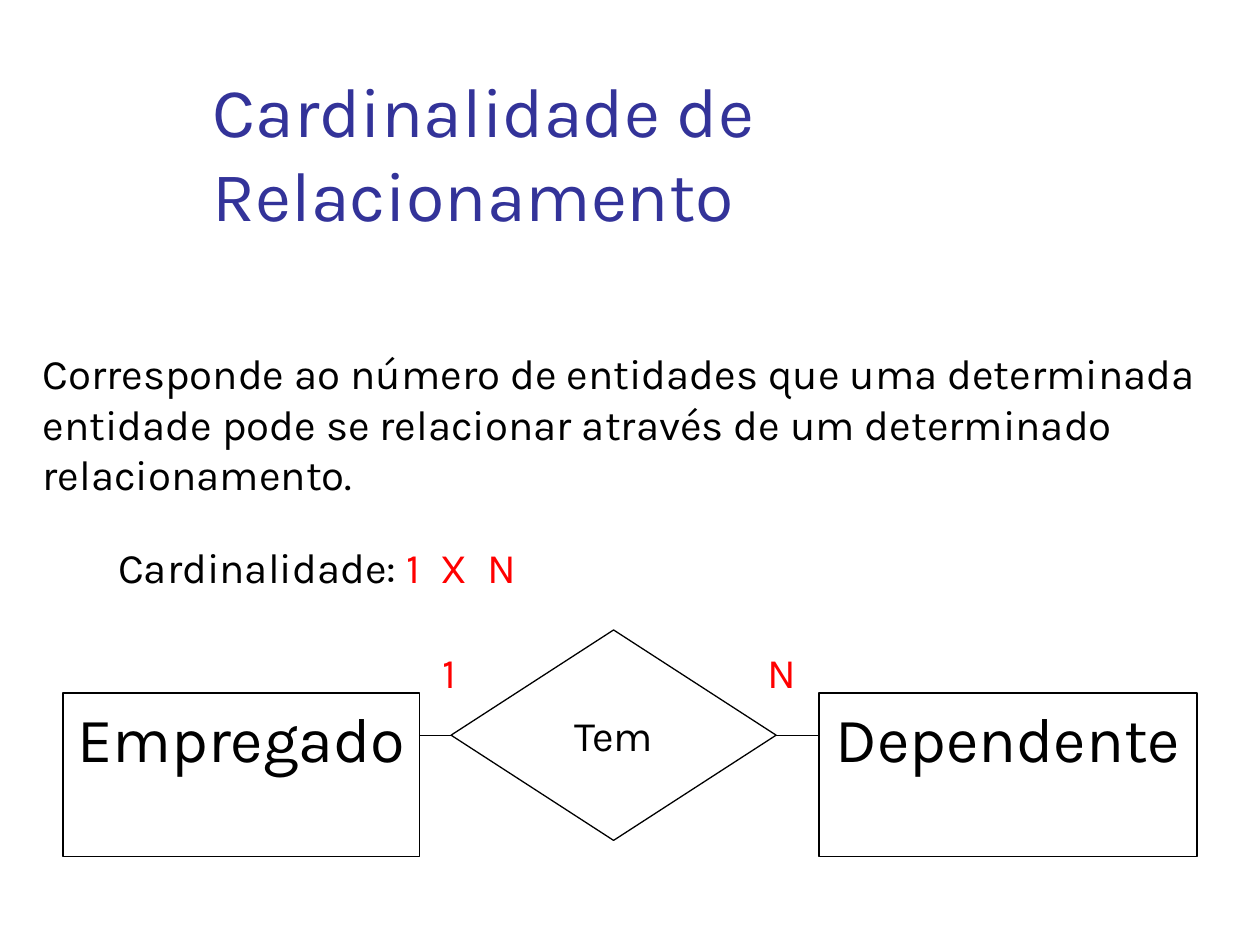
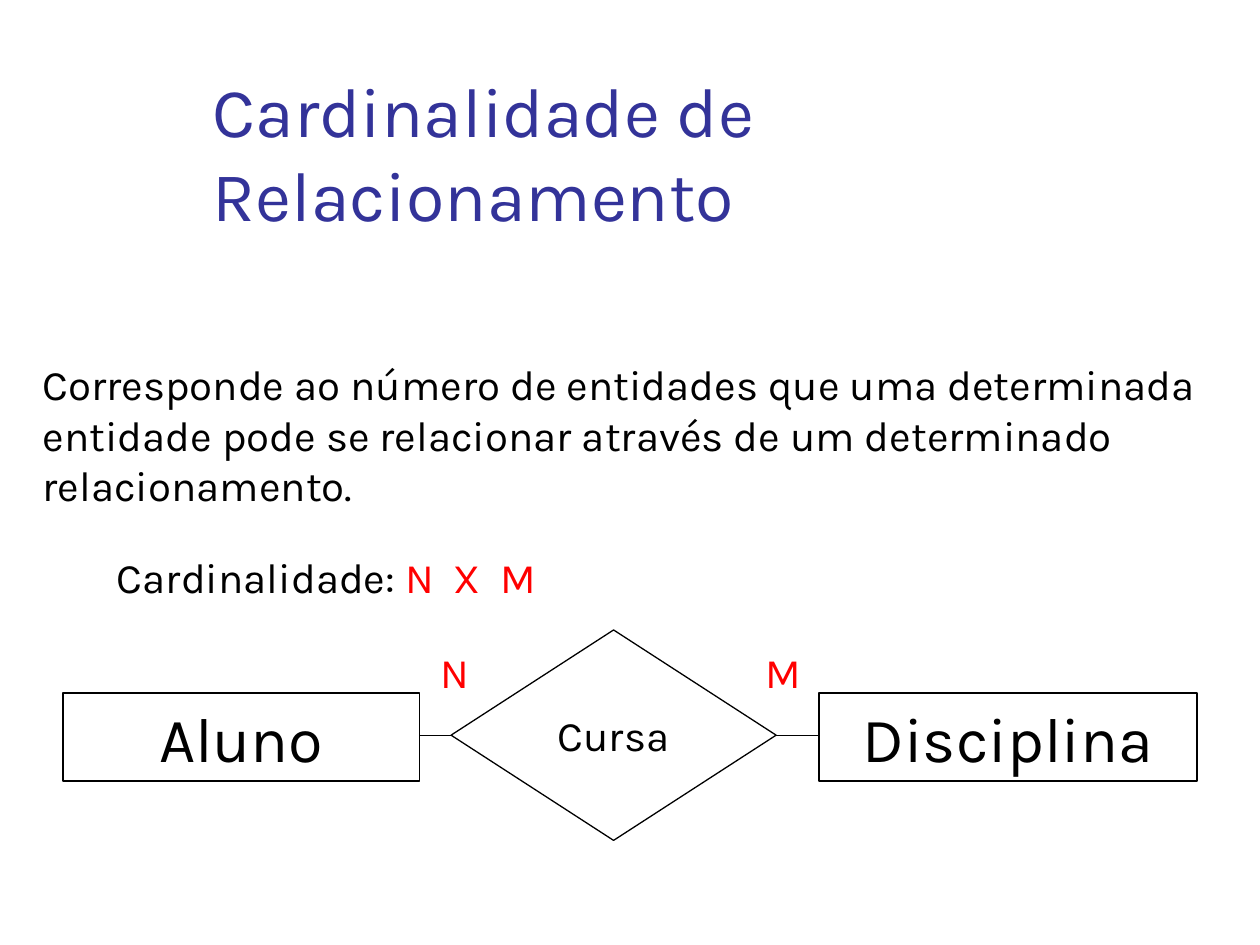
from dataclasses import dataclass

from lxml import etree
from pptx import Presentation
from pptx import util as u
from pptx.dml.color import RGBColor
from pptx.enum import shapes, text
from pptx.oxml import ns

# Content
TITLE = "Cardinalidade de Relacionamento"
DEFINITION = [
    "Corresponde ao número de entidades que uma determinada",
    "entidade pode se relacionar através de um determinado",
    "relacionamento.",
]
RATIO_LABEL = "Cardinalidade: "
# Each end: entity, cardinality, left and width of the cardinality label
EXAMPLES = [
    {
        "ratio": "1  X  N", "relationship": "Tem", "entity_height": 1.3,
        "left_end": ("Empregado", "1", 3.41, 0.39),
        "right_end": ("Dependente", "N", 5.99, 0.45),
        "definition_top": 2.71, "ratio_box": (0.84, 4.25, 3.54, 0.5),
    },
    {
        "ratio": "N  X  M", "relationship": "Cursa", "entity_height": 0.7,
        "left_end": ("Aluno", "N", 3.4, 0.45),
        "right_end": ("Disciplina", "M", 5.98, 0.5),
        "definition_top": 2.8, "ratio_box": (0.83, 4.33, 3.65, 0.5),
    },
]


# Theme
@dataclass(frozen=True)
class Theme:
    font: str = "Karla"
    title: RGBColor = RGBColor(0x33, 0x33, 0x99)
    ink: RGBColor = RGBColor(0, 0, 0)
    accent: RGBColor = RGBColor(0xFF, 0, 0)
    paper: RGBColor = RGBColor(0xFF, 0xFF, 0xFF)
    title_size: int = 40
    entity_size: int = 36
    body_size: int = 24
    line_width: float = 0.75


THEME = Theme()

# Layout, in inches
TITLE_BOX = (1.59, 0.67, 8.7, 1.25)
DEFINITION_LEFT, DEFINITION_WIDTH, DEFINITION_HEIGHT = 0.24, 9.75, 1.3
DIAMOND = (3.58, 5, 2.58, 1.67)
ENTITY_TOP = 5.5
LEFT_ENTITY, RIGHT_ENTITY = (0.5, 2.83), (6.5, 3)
LABEL_TOP, LABEL_HEIGHT = 5.08, 0.5


def inches(box):
    return [u.Inches(value) for value in box]


def write(frame, paragraphs, size, align=text.PP_ALIGN.LEFT,
          anchor=text.MSO_ANCHOR.TOP, wrap=False):
    """Fill a frame; each paragraph is a list of (text, colour) runs."""
    frame.word_wrap = wrap
    frame.auto_size = text.MSO_AUTO_SIZE.NONE
    frame.vertical_anchor = anchor
    for index, runs in enumerate(paragraphs):
        paragraph = frame.add_paragraph() if index else frame.paragraphs[0]
        paragraph.alignment = align
        for content, color in runs:
            run = paragraph.add_run()
            run.text = content
            run.font.name = THEME.font
            run.font.size = u.Pt(size)
            run.font.color.rgb = color


def add_text(slide, box, paragraphs):
    shape = slide.shapes.add_textbox(*inches(box))
    write(shape.text_frame, paragraphs, THEME.body_size)


def add_node(slide, kind, box, label, size, anchor, wrap):
    shape = slide.shapes.add_shape(kind, *inches(box))
    shape.shadow.inherit = False
    shape.fill.solid()
    shape.fill.fore_color.rgb = THEME.paper
    shape.line.color.rgb = THEME.ink
    shape.line.width = u.Pt(THEME.line_width)
    write(shape.text_frame, [[(label, THEME.ink)]], size,
          text.PP_ALIGN.CENTER, anchor, wrap)


def add_link(slide):
    """Line at the height of the diamond's centre, between the entities."""
    middle = DIAMOND[1] + DIAMOND[3] / 2
    link = slide.shapes.add_connector(
        shapes.MSO_CONNECTOR.STRAIGHT,
        *inches((sum(LEFT_ENTITY), middle, RIGHT_ENTITY[0], middle)))
    link.line.color.rgb = THEME.ink
    link.line.width = u.Pt(THEME.line_width)
    etree.SubElement(link.element.spPr, ns.qn("a:effectLst"))


def add_title(slide):
    title = slide.shapes.title
    title.left, title.top, title.width, title.height = inches(TITLE_BOX)
    write(title.text_frame, [[(TITLE, THEME.title)]], THEME.title_size,
          anchor=text.MSO_ANCHOR.BOTTOM, wrap=True)


def build_slide(presentation, example):
    slide = presentation.slides.add_slide(presentation.slide_layouts[5])
    add_title(slide)

    # Diagram
    add_link(slide)
    add_node(slide, shapes.MSO_SHAPE.DIAMOND, DIAMOND, example["relationship"],
             THEME.body_size, text.MSO_ANCHOR.MIDDLE, False)
    ends = [(LEFT_ENTITY, example["left_end"]),
            (RIGHT_ENTITY, example["right_end"])]
    for (left, width), (entity, cardinality, label_left, label_width) in ends:
        add_node(slide, shapes.MSO_SHAPE.RECTANGLE,
                 (left, ENTITY_TOP, width, example["entity_height"]), entity,
                 THEME.entity_size, text.MSO_ANCHOR.TOP, True)
        add_text(slide, (label_left, LABEL_TOP, label_width, LABEL_HEIGHT),
                 [[(cardinality, THEME.accent)]])

    # Definition and ratio
    add_text(slide, (DEFINITION_LEFT, example["definition_top"],
                     DEFINITION_WIDTH, DEFINITION_HEIGHT),
             [[(line, THEME.ink)] for line in DEFINITION])
    add_text(slide, example["ratio_box"],
             [[(RATIO_LABEL, THEME.ink), (example["ratio"], THEME.accent)]])


def main():
    presentation = Presentation()
    presentation.slide_width = u.Inches(10)
    presentation.slide_height = u.Inches(7.5)
    for example in EXAMPLES:
        build_slide(presentation, example)
    presentation.save("out.pptx")


if __name__ == "__main__":
    main()
